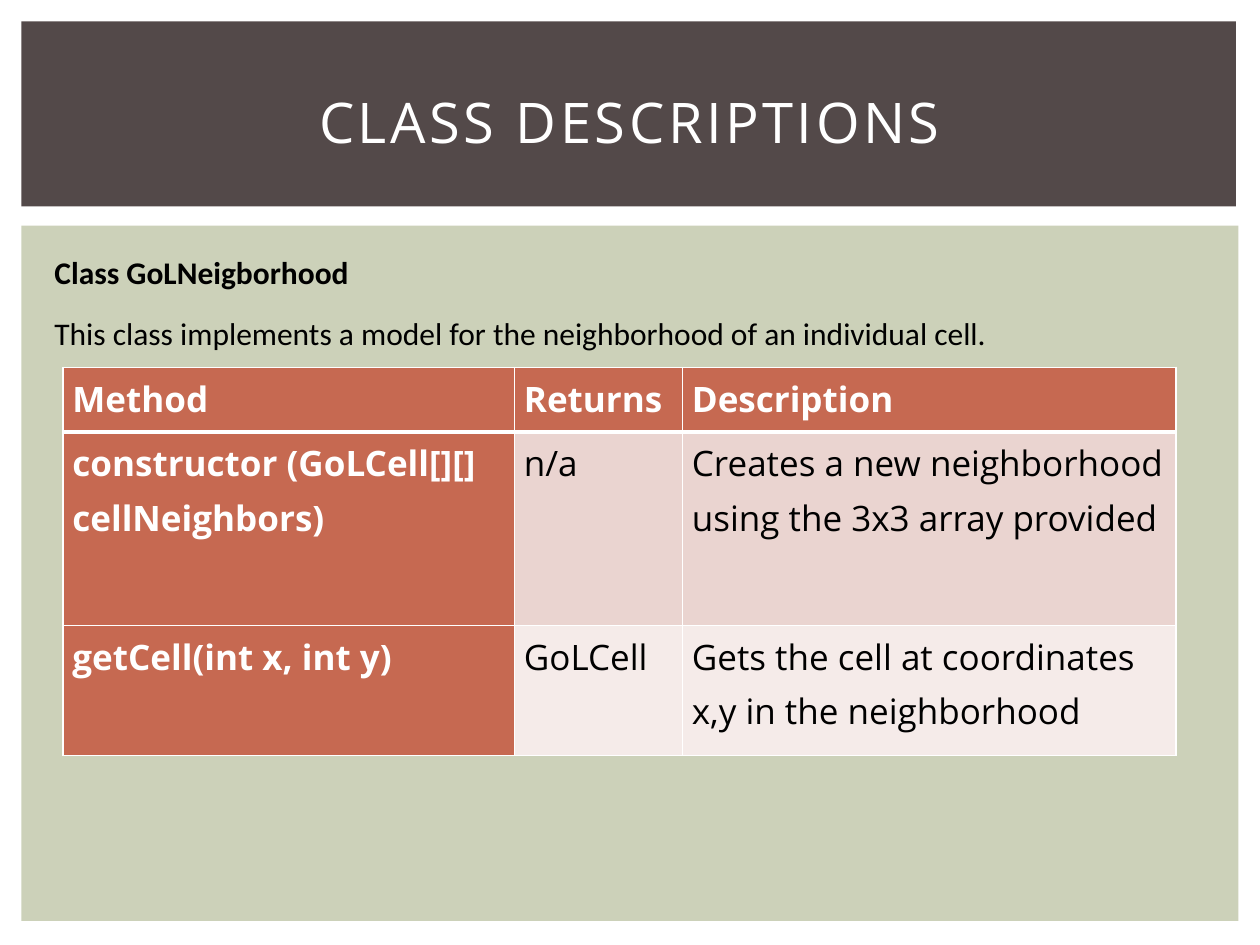
from lxml import etree
from pptx import Presentation
from pptx.dml.color import RGBColor
from pptx.enum.shapes import MSO_SHAPE
from pptx.enum.text import MSO_ANCHOR, PP_ALIGN
from pptx.oxml.ns import qn
from pptx.util import Pt

RECTANGLE = MSO_SHAPE.RECTANGLE
MIDDLE = MSO_ANCHOR.MIDDLE
CENTER = PP_ALIGN.CENTER

WHITE, BLACK, RUST = "FFFFFF", "000000", "C66951"
BANDS = ["EAD4D0", "F5EBE9"]
PANELS = [
    ("CCD1B9", (12.24, 128.9, 695.5, 397.4)),
    ("534949", (12.24, 12.24, 694, 105.8)),
]
TITLE = "CLASS DESCRIPTIONS"
INTRO = [
    ("Class GoLNeigborhood", True),
    ("This class implements a model for the neighborhood of an individual cell.", False),
]
METHODS = [
    ("Method", "Returns", "Description"),
    ("constructor (GoLCell[][] cellNeighbors)", "n/a",
     "Creates a new neighborhood using the 3x3 array provided"),
    ("getCell(int x, int y)", "GoLCell",
     "Gets the cell at coordinates x,y in the neighborhood"),
]
COLUMN_WIDTHS = [258, 96, 282]
ROW_HEIGHTS = [36.8, 110.7, 74.2]


def color(value):
    return RGBColor.from_string(value)


def points(*values):
    return [Pt(value) for value in values]


def style(para, name, size, ink, bold=False):
    para.font.name = name
    para.font.size = Pt(size)
    para.font.bold = bold
    para.font.color.rgb = color(ink)


def add_border(cell, side, width):
    line = etree.SubElement(cell._tc.get_or_add_tcPr(), qn(f"a:ln{side}"), w=str(Pt(width)))
    fill = etree.SubElement(line, qn("a:solidFill"))
    etree.SubElement(fill, qn("a:srgbClr"), val=WHITE)


deck = Presentation()
deck.slide_width, deck.slide_height = points(720, 540)
page = deck.slides.add_slide(deck.slide_layouts[5])

title = page.shapes.title
title.left, title.top, title.width, title.height = points(30, 28, 660, 82.8)
title.text_frame.text = TITLE
title.text_frame.vertical_anchor = MIDDLE
heading = title.text_frame.paragraphs[0]
heading.alignment = CENTER
style(heading, "Open Sans", 32, WHITE)
heading.runs[0]._r.get_or_add_rPr().set("spc", "200")

for shade, place in PANELS:
    panel = page.shapes.add_shape(RECTANGLE, *points(*place))
    panel.shadow.inherit = False
    panel.fill.solid()
    panel.fill.fore_color.rgb = color(shade)
    panel.line.fill.background()
    title.element.addprevious(panel.element)

intro = page.shapes.add_textbox(*points(24, 138, 648, 66.5)).text_frame
intro.word_wrap = True
intro.text = "\n".join(text for text, bold in INTRO)
for para, (text, bold) in zip(intro.paragraphs, INTRO):
    style(para, "Calibri", 18, BLACK, bold)
    para.line_spacing = 1.15
    para.space_after = Pt(10)

frame = page.shapes.add_table(
    len(METHODS), len(COLUMN_WIDTHS),
    *points(36, 210, sum(COLUMN_WIDTHS), sum(ROW_HEIGHTS)))
table = frame.table
for column, width in zip(table.columns, COLUMN_WIDTHS):
    column.width = Pt(width)
for row, height in zip(table.rows, ROW_HEIGHTS):
    row.height = Pt(height)

for r, texts in enumerate(METHODS):
    for c, text in enumerate(texts):
        cell = table.cell(r, c)
        header = r == 0 or c == 0
        cell.text = text
        cell.margin_left = cell.margin_right = Pt(5.4)
        cell.margin_top = cell.margin_bottom = 0
        para = cell.text_frame.paragraphs[0]
        para.line_spacing = 1.15
        style(para, "Open Sans", 20, WHITE if header else BLACK, header)
        for side, width in (("L", 1), ("R", 1), ("T", 3 if r == 1 else 1), ("B", 3 if r == 0 else 1)):
            add_border(cell, side, width)
        cell.fill.solid()
        cell.fill.fore_color.rgb = color(RUST if header else BANDS[r - 1])

deck.save("out.pptx")
